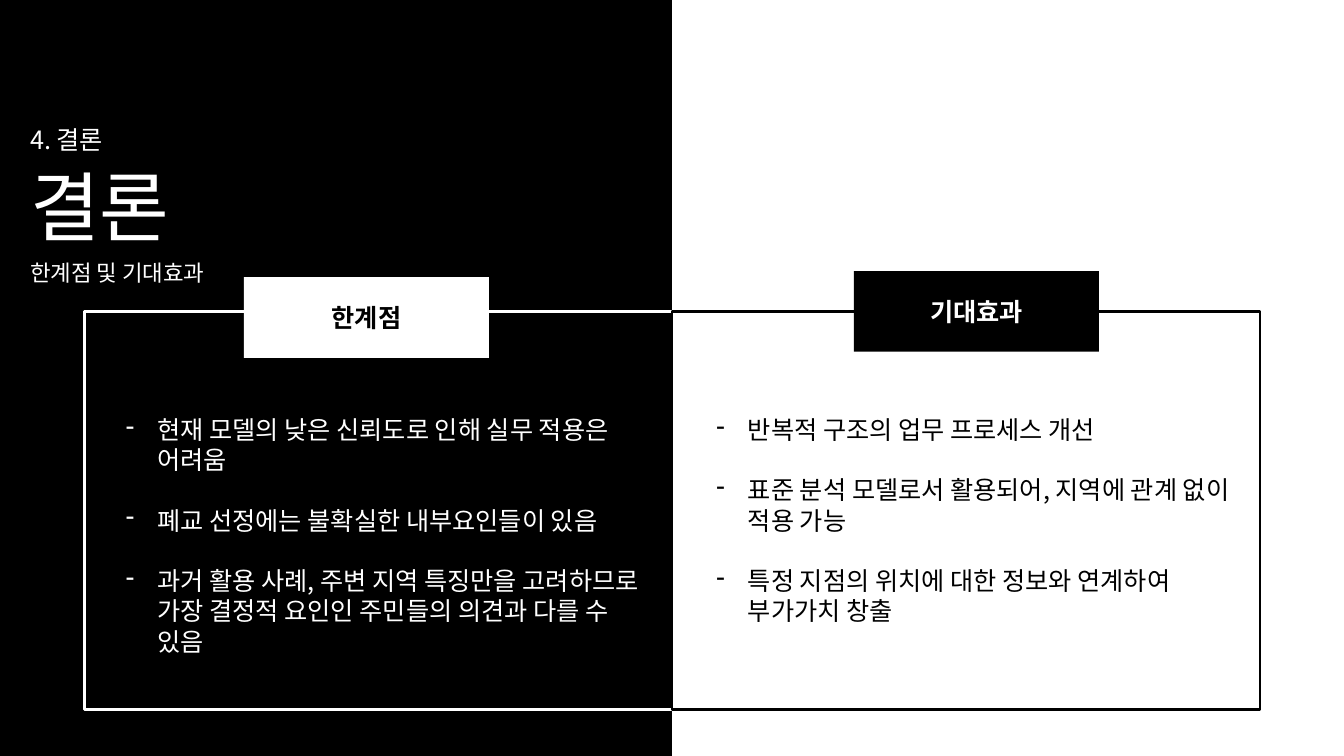
from lxml import etree
from pptx import Presentation
from pptx.dml.color import RGBColor
from pptx.enum.shapes import MSO_SHAPE
from pptx.enum.text import MSO_ANCHOR, PP_ALIGN
from pptx.oxml.ns import qn
from pptx.util import Pt

BLACK = RGBColor(0x00, 0x00, 0x00)
WHITE = RGBColor(0xFF, 0xFF, 0xFF)
RECTANGLE = MSO_SHAPE.RECTANGLE
MIDDLE = MSO_ANCHOR.MIDDLE
CENTER = PP_ALIGN.CENTER
FONT_NAME = "Noto Sans CJK KR"
SLIDE_WIDTH, SLIDE_HEIGHT = 960, 540
PANEL_TOP, PANEL_HEIGHT = 222.5, 284.4
HEADING_WIDTH, HEADING_HEIGHT = 175, 57.6
BULLET_INDENT = 22.5
LINE_GAP = 21.6

LIMITATIONS = [
    "현재 모델의 낮은 신뢰도로 인해 실무 적용은 어려움",
    "폐교 선정에는 불확실한 내부요인들이 있음",
    "과거 활용 사례, 주변 지역 특징만을 고려하므로 가장 결정적 요인인 주민들의 의견과 다를 수 있음",
]
EXPECTED_EFFECTS = [
    "반복적 구조의 업무 프로세스 개선",
    "표준 분석 모델로서 활용되어, 지역에 관계 없이 적용 가능",
    "특정 지점의 위치에 대한 정보와 연계하여 부가가치 창출",
]


def style_runs(paragraph, size, color, bold=False):
    """Apply the slide font to every run of a paragraph."""
    for run in paragraph.runs:
        run.font.name = FONT_NAME
        run.font.size = Pt(size)
        run.font.bold = bold
        run.font.color.rgb = color
        east_asian = etree.SubElement(run.font._element, qn("a:ea"))
        east_asian.set("typeface", FONT_NAME)


def add_rectangle(slide, box, fill=None, line=None):
    """Draw a rectangle with an optional fill and outline."""
    shape = slide.shapes.add_shape(RECTANGLE, *map(Pt, box))
    shape.shadow.inherit = False
    if fill is None:
        shape.fill.background()
    else:
        shape.fill.solid()
        shape.fill.fore_color.rgb = fill
    if line is None:
        shape.line.fill.background()
    else:
        shape.line.color.rgb = line
        shape.line.width = Pt(2)
    return shape


def add_text(slide, box, text, size, color):
    """Place a wrapping text box and return its text frame."""
    text_frame = slide.shapes.add_textbox(*map(Pt, box)).text_frame
    text_frame.word_wrap = True
    text_frame.text = text
    for paragraph in text_frame.paragraphs:
        style_runs(paragraph, size, color)
    return text_frame


def add_title_block(slide, left, top):
    """Place the section number, title and subtitle."""
    add_text(slide, (left, top + 26, 466, 73), "결론", 54, WHITE)
    add_text(slide, (left, top + 96.5, 310, 27), "한계점 및 기대효과", 16, WHITE)
    add_text(slide, (left, top, 282, 29), "4. 결론", 18, WHITE)


def add_heading(slide, left, top, text, fill, color):
    """Place the filled label that sits on a panel's top edge."""
    heading = add_rectangle(slide, (left, top, HEADING_WIDTH, HEADING_HEIGHT), fill)
    heading.text_frame.text = text
    heading.text_frame.vertical_anchor = MIDDLE
    paragraph = heading.text_frame.paragraphs[0]
    paragraph.alignment = CENTER
    style_runs(paragraph, 18, color, bold=True)


def add_dash_list(slide, box, items, color):
    """Place a dashed list with one line of space between items."""
    text_frame = add_text(slide, box, "\n".join(items), 18, color)
    for index, paragraph in enumerate(text_frame.paragraphs):
        properties = paragraph._p.get_or_add_pPr()
        properties.set("marL", str(Pt(BULLET_INDENT)))
        properties.set("indent", str(-Pt(BULLET_INDENT)))
        etree.SubElement(properties, qn("a:buFontTx"))
        etree.SubElement(properties, qn("a:buChar")).set("char", "-")
        if index:
            paragraph.space_before = Pt(LINE_GAP)


def add_panel(slide, box, heading, heading_offset, items, list_box, ink, paper):
    """Place an outlined panel with its heading and list."""
    left, top, width, height = box
    heading_left, heading_top = heading_offset
    list_left, list_width, list_height = list_box
    add_rectangle(slide, box, line=ink)
    add_heading(slide, left + heading_left, top + heading_top, heading, ink, paper)
    add_dash_list(slide, (left + list_left, top + 69.8, list_width, list_height), items, ink)


def main():
    """Build and save the conclusion slide."""
    presentation = Presentation()
    presentation.slide_width = Pt(SLIDE_WIDTH)
    presentation.slide_height = Pt(SLIDE_HEIGHT)
    slide = presentation.slides.add_slide(presentation.slide_layouts[6])
    middle = SLIDE_WIDTH / 2
    add_rectangle(slide, (0, 0, middle, SLIDE_HEIGHT), BLACK)
    add_panel(slide, (60.5, PANEL_TOP, 422.5, PANEL_HEIGHT), "한계점", (113.8, -24.5),
              LIMITATIONS, (22.3, 386.6, 204), WHITE, BLACK)
    add_panel(slide, (middle, PANEL_TOP, 420, PANEL_HEIGHT), "기대효과", (130, -28.8),
              EXPECTED_EFFECTS, (24.7, 391.7, 160), BLACK, WHITE)
    add_title_block(slide, 14.4, 85)
    presentation.save("out.pptx")


if __name__ == "__main__":
    main()
